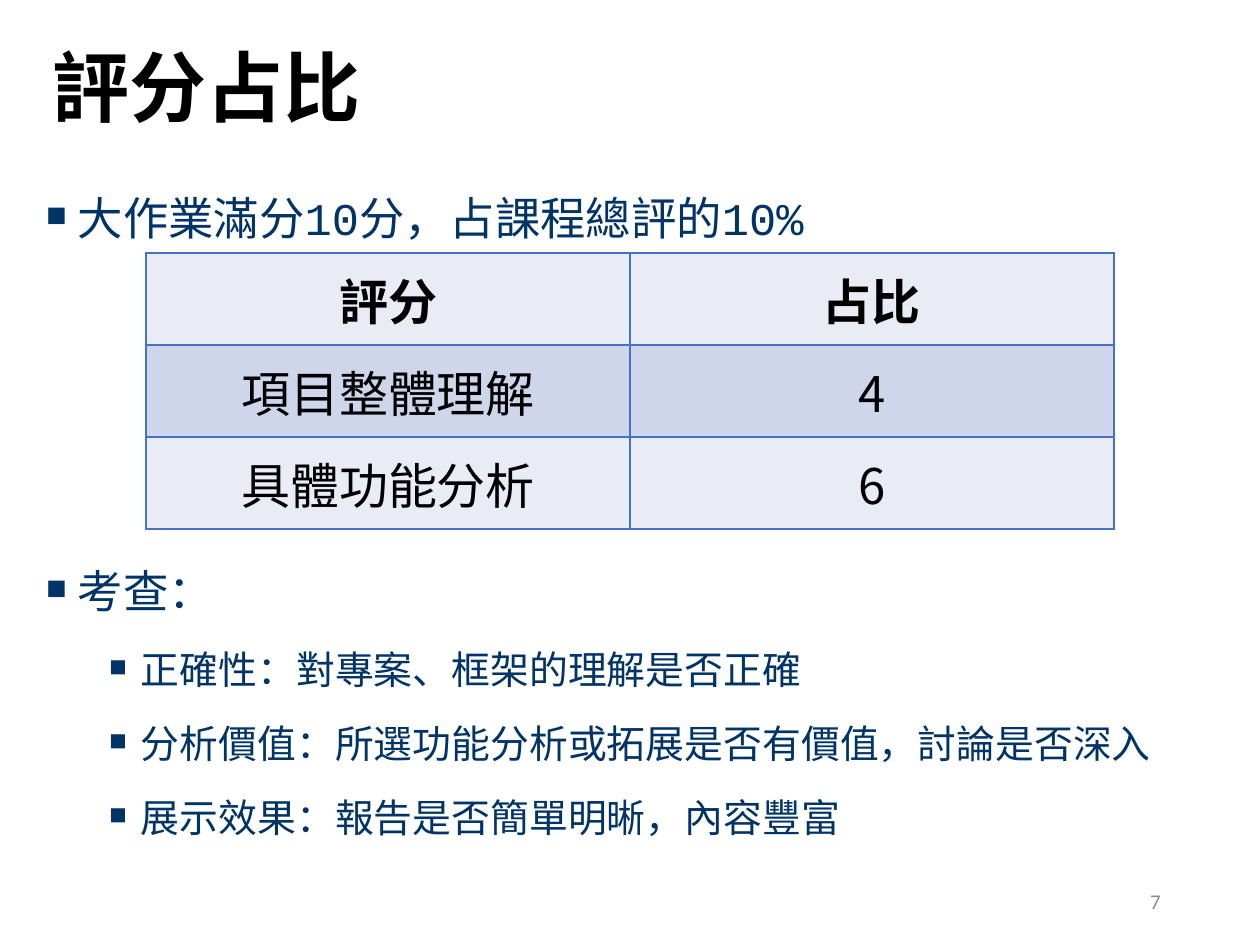
from lxml.etree import SubElement
from pptx import Presentation
from pptx.dml.color import RGBColor
from pptx.enum.text import MSO_ANCHOR, PP_ALIGN
from pptx.oxml.ns import qn
from pptx.util import Inches, Pt

TITLE = "評分占比"
SCORING = [("大作業滿分10分，占課程總評的10%", 0)]
CRITERIA = [
    ("考查：", 0),
    ("正確性：對專案、框架的理解是否正確", 1),
    ("分析價值：所選功能分析或拓展是否有價值，討論是否深入", 1),
    ("展示效果：報告是否簡單明晰，內容豐富", 1),
]
WEIGHTS = [("評分", "占比"), ("項目整體理解", "4"), ("具體功能分析", "6")]
PAGE_NUMBER = "7"

THEME = {
    "cjk": "Noto Sans CJK SC", "body": "Courier New", "number": "Calibri",
    "black": "000000", "navy": "003366", "grey": "8C8C8C",
    "border": "4472C4", "bands": ("E9EBF5", "CFD5EA"),
    "title_size": 44, "table_size": 28, "number_size": 12,
    "level_sizes": (25.9, 22.2), "level_spacing": (10, 5),
    "level_indents": (0.25, 0.75),
}


def style(paragraph, face, size, color, bold=False):
    font = paragraph.font
    font.name, font.size, font.bold = THEME[face], Pt(size), bold
    font.color.rgb = RGBColor.from_string(THEME[color])
    properties = paragraph._p.get_or_add_pPr().find(qn("a:defRPr"))
    SubElement(properties, qn("a:ea"), typeface=THEME["cjk"])


def add_text_box(slide, left, top, width, height, anchor=MSO_ANCHOR.TOP):
    frame = slide.shapes.add_textbox(
        Inches(left), Inches(top), Inches(width), Inches(height)).text_frame
    frame.word_wrap = True
    frame.vertical_anchor = anchor
    return frame


def add_bullets(frame, items):
    for index, (text, level) in enumerate(items):
        paragraph = frame.add_paragraph() if index else frame.paragraphs[0]
        paragraph.text = text
        paragraph.level = level
        paragraph.line_spacing = 1.4
        paragraph.space_before = Pt(THEME["level_spacing"][level])
        properties = paragraph._p.get_or_add_pPr()
        properties.set("marL", str(Inches(THEME["level_indents"][level])))
        properties.set("indent", str(Inches(-0.25)))
        SubElement(properties, qn("a:buSzPct"), val="75000")
        SubElement(properties, qn("a:buFont"), typeface=THEME["body"])
        SubElement(properties, qn("a:buChar"), char="■")
        style(paragraph, "body", THEME["level_sizes"][level], "navy")


def add_borders(cell):
    properties = cell._tc.get_or_add_tcPr()
    for side in ("lnL", "lnR", "lnT", "lnB"):
        line = SubElement(properties, qn(f"a:{side}"), w=str(Pt(1)))
        fill = SubElement(line, qn("a:solidFill"))
        SubElement(fill, qn("a:srgbClr"), val=THEME["border"])


def add_weight_table(slide):
    table = slide.shapes.add_table(
        len(WEIGHTS), len(WEIGHTS[0]),
        Inches(1.16), Inches(2.01), Inches(7.68), Inches(2.19)).table
    for row_index, values in enumerate(WEIGHTS):
        for cell, value in zip(table.rows[row_index].cells, values):
            cell.text = value
            cell.vertical_anchor = MSO_ANCHOR.MIDDLE
            add_borders(cell)
            cell.fill.solid()
            cell.fill.fore_color.rgb = RGBColor.from_string(
                THEME["bands"][row_index % 2])
            paragraph = cell.text_frame.paragraphs[0]
            paragraph.alignment = PP_ALIGN.CENTER
            style(paragraph, "cjk", THEME["table_size"], "black",
                  bold=row_index == 0)


def main():
    presentation = Presentation()
    presentation.slide_width = Inches(10)
    presentation.slide_height = Inches(7.5)
    slide = presentation.slides.add_slide(presentation.slide_layouts[6])

    title = add_text_box(slide, 0.32, 0, 8.62, 1.45, MSO_ANCHOR.MIDDLE)
    title.text = TITLE
    title.paragraphs[0].line_spacing = 0.9
    style(title.paragraphs[0], "cjk", THEME["title_size"], "black", bold=True)

    add_bullets(add_text_box(slide, 0.27, 1.29, 9.4, 0.72), SCORING)
    add_bullets(add_text_box(slide, 0.27, 4.25, 9.4, 2.8), CRITERIA)

    number = add_text_box(slide, 7.06, 6.95, 2.25, 0.4, MSO_ANCHOR.MIDDLE)
    number.text = PAGE_NUMBER
    number.paragraphs[0].alignment = PP_ALIGN.RIGHT
    style(number.paragraphs[0], "number", THEME["number_size"], "grey")

    add_weight_table(slide)
    presentation.save("out.pptx")


if __name__ == "__main__":
    main()
